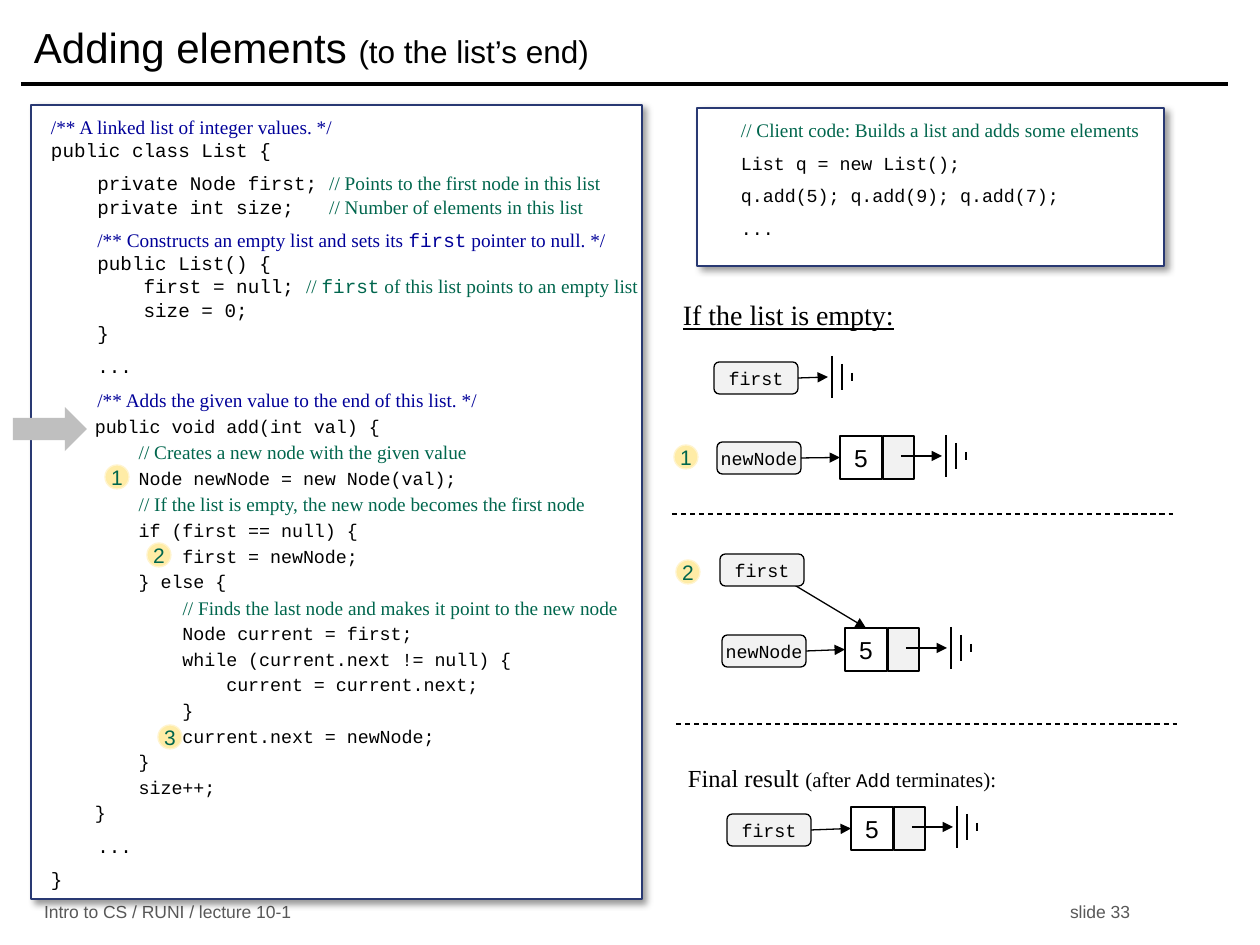
import pptx
import pptx.util
import pptx.dml.color
import pptx.enum.dml
import pptx.enum.shapes
import pptx.enum.text
import pptx.oxml
import pptx.oxml.ns

SCALE = 914400 / 126
COLOURS = {"ink": "000000", "paper": "FFFFFF", "doc": "000099", "note": "00664D",
           "frame": "293973", "grey": "F2F2F2", "arrow": "BFBFBF", "footer": "595959",
           "badge": "FFECA6", "badge rim": "FFF4CE"}
MONO, SERIF, SANS = "Courier New", "Times New Roman", "Arial"
STYLES = {
    "title": (SANS, 24, "ink"), "subtitle": (SANS, 18, "ink"),
    "code": (MONO, 11, "ink"), "small": (MONO, 10.5, "ink"),
    "doc": (SERIF, 11, "doc"), "doc code": (MONO, 11, "doc"),
    "note": (SERIF, 11, "note"), "note code": (MONO, 11, "note"),
    "heading": (SERIF, 16, "ink"), "result": (SERIF, 14, "ink"), "aside": (SERIF, 12, "ink"),
    "value": (SANS, 14, "ink"), "badge": (SANS, 12, "note"), "footer": (SANS, 10, "footer"),
}
TITLE = [(0, [("title", "Adding elements "), ("subtitle", "(to the list’s end)")])]
LIST_CLASS = [
    (0, [("doc", "/** A linked list of integer values. */")]),
    (0, [("code", "public class List {")]),
    (6, [("code", "    private Node first; "), ("note", "// Points to the first node in this list")]),
    (0, [("code", "    private int size;   "), ("note", "// Number of elements in this list")]),
    (6, [("code", "    "), ("doc", "/** Constructs an empty list and sets its "),
         ("doc code", "first"), ("doc", " pointer to null. */")]),
    (0, [("code", "    public List() {")]),
    (0, [("code", "        first = null; "), ("note", "// "), ("note code", "first"),
         ("note", " of this list points to an empty list")]),
    (0, [("code", "        size = 0;")]),
    (0, [("code", "    }")]),
    (6, [("code", "    ...")]),
    (6, [("code", "    "), ("doc", "/** Adds the given value to the end of this list. */")]),
    (2, [("small", "    public void add(int val) {")]),
    (2, [("small", "        "), ("note", "// Creates a new node with the given value")]),
    (2, [("small", "        Node newNode = new Node(val);")]),
    (2, [("small", "        "), ("note", "// If the list is empty, the new node becomes the first node")]),
    (2, [("small", "        if (first == null) {")]),
    (2, [("small", "            first = newNode;")]),
    (2, [("small", "        } else {")]),
    (2, [("small", "            "), ("note", "// Finds the last node and makes it point to the new node")]),
    (2, [("small", "            Node current = first;")]),
    (2, [("small", "            while (current.next != null) {")]),
    (2, [("small", "                current = current.next;")]),
    (2, [("small", "            }")]),
    (2, [("small", "            current.next = newNode;")]),
    (2, [("small", "        }")]),
    (2, [("small", "        size++;")]),
    (2, [("small", "    }")]),
    (6, [("code", "    ...")]),
    (6, [("code", "}")]),
]
CLIENT = [
    (0, [("note", "// Client code: Builds a list and adds some elements")]),
    (6, [("small", "List q = new List();")]),
    (6, [("small", "q.add(5); q.add(9); q.add(7);")]),
    (6, [("small", "...")]),
]
HEADING = [(0, [("heading", "If the list is empty:")])]
RESULT = [(0, [("result", "Final result "), ("aside", "(after "), ("code", "Add"),
               ("aside", " terminates):")])]
LABELS = [((670, 292, 339, 47), HEADING), ((675, 757, 339, 43), RESULT)]
FOOTERS = [((31, 900, 400, 24), "Intro to CS / RUNI / lecture 10-1"),
           ((1057, 900, 160, 24), "slide 33")]
NODES = [("newNode", (717, 442), (840, 436)), ("newNode", (722, 635), (845, 628)),
         ("first", (727, 814), (851, 807))]
DIVIDERS = [(672, 514), (676, 724)]
BADGES = [("1", 105, 465), ("2", 147, 543), ("1", 674, 445), ("2", 676, 560), ("3", 158, 725)]

SHAPE = pptx.enum.shapes.MSO_SHAPE
MIDDLE = pptx.enum.text.MSO_ANCHOR.MIDDLE
CENTER, LEFT = pptx.enum.text.PP_ALIGN.CENTER, pptx.enum.text.PP_ALIGN.LEFT
POINTER_SIZE = (84, 32)

deck = pptx.Presentation()
deck.slide_width, deck.slide_height = pptx.util.Inches(10), pptx.util.Inches(7.5)
slide = deck.slides.add_slide(deck.slide_layouts[5])


def px(*lengths):
    return [round(length * SCALE) for length in lengths]


def rgb(name):
    return pptx.dml.color.RGBColor.from_string(COLOURS[name])


def assign(target, values):
    for key, value in values.items():
        setattr(target, key, value)


def write(frame, paragraphs, insets=(13, 6, 13, 6), align=LEFT, anchor=None, wrap=True):
    left, top, right, bottom = px(*insets)
    assign(frame, {"margin_left": left, "margin_top": top, "margin_right": right,
                   "margin_bottom": bottom, "word_wrap": wrap, "vertical_anchor": anchor,
                   "auto_size": pptx.enum.text.MSO_AUTO_SIZE.NONE})
    for index, (before, runs) in enumerate(paragraphs):
        line = frame.paragraphs[0] if index == 0 else frame.add_paragraph()
        line.alignment = align
        if before:
            line.space_before = pptx.util.Pt(before)
        for style, words in runs:
            run = line.add_run()
            run.text = words
            font, size, colour = STYLES[style]
            assign(run.font, {"name": font, "size": pptx.util.Pt(size),
                              "underline": True if style == "heading" else None})
            run.font.color.rgb = rgb(colour)


def shape(kind, box, fill=None, line="ink"):
    made = slide.shapes.add_shape(kind, *px(*box))
    made.shadow.inherit = False
    if fill:
        made.fill.solid()
        made.fill.fore_color.rgb = rgb(fill)
    else:
        made.fill.background()
    if line:
        made.line.color.rgb = rgb(line)
        made.line.width = pptx.util.Pt(0.75)
    else:
        made.line.fill.background()
    return made


def connector(start, end, width=0.75, arrow=False, dashed=False):
    made = slide.shapes.add_connector(pptx.enum.shapes.MSO_CONNECTOR.STRAIGHT, *px(*start, *end))
    made.line.color.rgb = rgb("ink")
    made.line.width = pptx.util.Pt(width)
    if dashed:
        made.line.dash_style = pptx.enum.dml.MSO_LINE.DASH
    if arrow:
        pptx.oxml.parse_xml('<a:tailEnd %s type="triangle"/>' % pptx.oxml.ns.nsdecls("a"))
        made.line._get_or_add_ln().append(
            pptx.oxml.parse_xml('<a:tailEnd %s type="triangle"/>' % pptx.oxml.ns.nsdecls("a")))
    made._element.spPr.append(pptx.oxml.parse_xml("<a:effectLst %s/>" % pptx.oxml.ns.nsdecls("a")))
    return made


def code_panel(box, paragraphs, insets):
    panel = shape(SHAPE.RECTANGLE, box, "paper", "frame")
    properties = panel._element.spPr
    properties.remove(properties.find(pptx.oxml.ns.qn("a:effectLst")))
    properties.append(pptx.oxml.parse_xml(
        '<a:effectLst %s><a:outerShdw blurRad="50800" dist="38100" dir="2700000" algn="tl" '
        'rotWithShape="0"><a:srgbClr val="000000"><a:alpha val="40000"/></a:srgbClr>'
        '</a:outerShdw></a:effectLst>' % pptx.oxml.ns.nsdecls("a")))
    write(panel.text_frame, paragraphs, insets, anchor=pptx.enum.text.MSO_ANCHOR.TOP)


def pointer(name, corner):
    made = shape(SHAPE.ROUNDED_RECTANGLE, (*corner, *POINTER_SIZE), "grey")
    write(made.text_frame, [(0, [("small", name)])], (0, 6, 0, 6), CENTER, MIDDLE, False)
    return made


def null_mark(x, middle):
    for step, half in enumerate((21, 13, 4)):
        connector((x + step * 10, middle - half), (x + step * 10, middle + half))


def node(name, corner, cell):
    x, y = cell
    value = shape(SHAPE.RECTANGLE, (x, y, 42, 43))
    write(value.text_frame, [(0, [("value", "5")])], (0, 0, 0, 0), CENTER, MIDDLE)
    shape(SHAPE.RECTANGLE, (x + 43, y, 31, 43), "grey")
    connector((x + 61, y + 20), (x + 102, y + 20), arrow=True)
    null_mark(x + 106, y + 20)
    link = connector(corner, cell, arrow=True)
    link.begin_connect(pointer(name, corner), 3)
    link.end_connect(value, 1)
    return value


assign(slide.shapes.title, dict(zip(("left", "top", "width", "height"), px(21, 10, 1207, 73))))
write(slide.shapes.title.text_frame, TITLE, anchor=MIDDLE)
connector((21, 84), (1228, 84), width=2)
for box, words in FOOTERS:
    write(slide.shapes.add_textbox(*px(*box)).text_frame, [(0, [("footer", words)])], anchor=MIDDLE)

code_panel((31, 105, 611, 794), LIST_CLASS, (20, 10, 0, 0))
code_panel((697, 108, 467, 158), CLIENT, (44, 10, 0, 0))
for box, paragraphs in LABELS:
    write(slide.shapes.add_textbox(*px(*box)).text_frame, paragraphs)

empty_link = connector((798, 378), (828, 377), arrow=True)
empty_link.begin_connect(pointer("first", (714, 362)), 3)
null_mark(832, 377)
created, attached, final = [node(*parts) for parts in NODES]
attach_link = connector((771, 571), (866, 628), arrow=True)
attach_link.end_connect(attached, 0)
pointer("first", (720, 554))
for x, y in DIVIDERS:
    connector((x, y), (x + 501, y), dashed=True)

shape(SHAPE.RIGHT_ARROW, (13, 407, 74, 44), "arrow", None)
for number, x, y in BADGES:
    badge = shape(SHAPE.OVAL, (x, y, 24, 24), "badge", "badge rim")
    write(badge.text_frame, [(0, [("badge", number)])], (0, 0, 0, 0), CENTER, MIDDLE, False)

deck.save("out.pptx")
